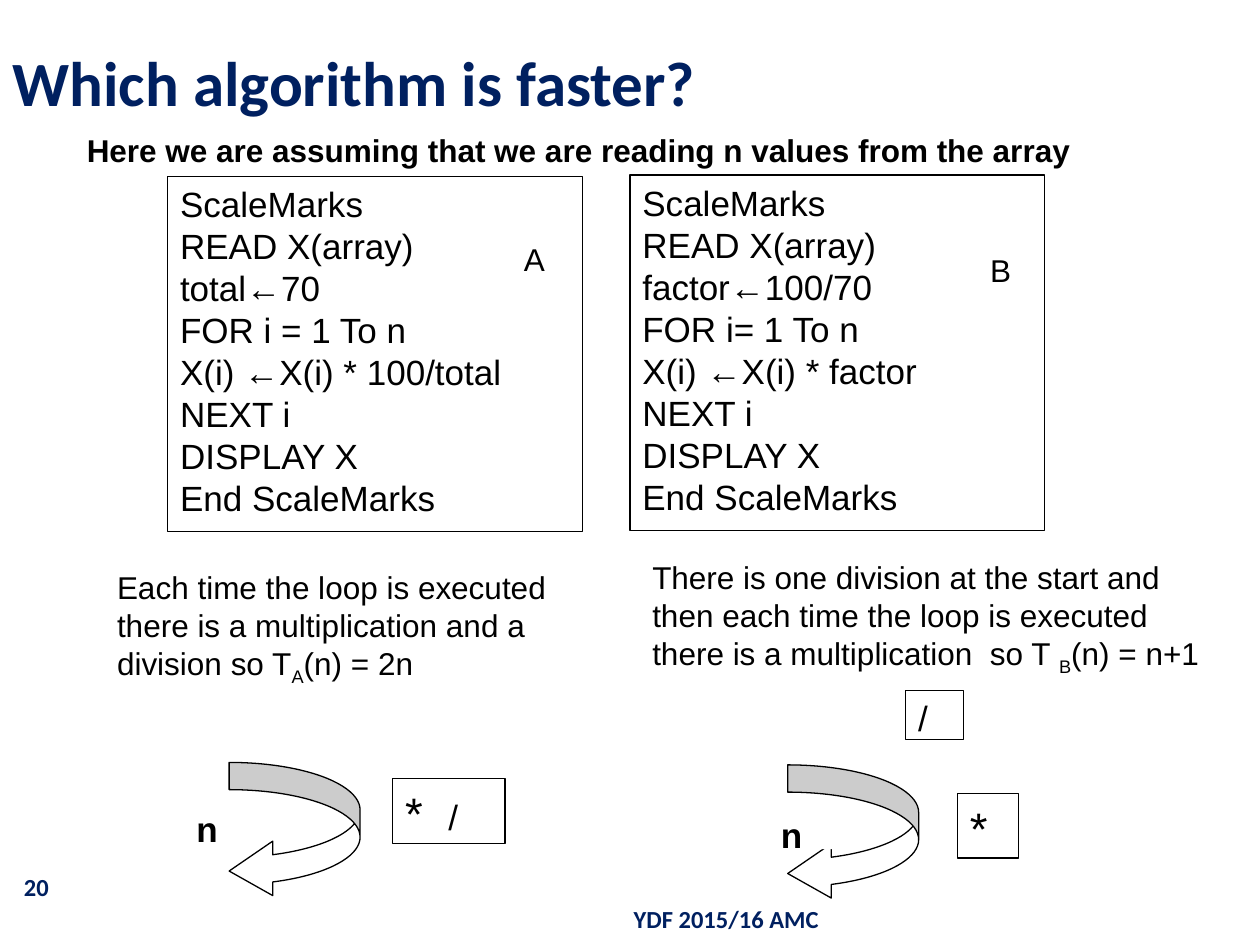
"""Build a slide that compares the running time of two mark-scaling algorithms."""
import dataclasses
import typing

import pptx
import pptx.dml.color
import pptx.enum.shapes
import pptx.enum.text
import pptx.util

Cm = pptx.util.Cm
Pt = pptx.util.Pt
RGB = pptx.dml.color.RGBColor
Align = pptx.enum.text.PP_ALIGN
Anchor = pptx.enum.text.MSO_ANCHOR
Preset = pptx.enum.shapes.MSO_SHAPE


@dataclasses.dataclass(frozen=True)
class Theme:
    navy: RGB = RGB(0x00, 0x20, 0x60)
    black: RGB = RGB(0, 0, 0)
    white: RGB = RGB(255, 255, 255)
    heading_font: str = "Calibri"
    body_font: str = "Arial"
    title: int = 36
    star: int = 26
    code: int = 20
    body: int = 18
    small: int = 14
    outline: float = 0.75


THEME = Theme()


class Span(typing.NamedTuple):
    text: str
    size: float = THEME.body
    bold: bool = False
    subscript: bool = False
    font: str = THEME.body_font
    color: RGB = THEME.black


class Area(typing.NamedTuple):
    left: float
    top: float
    width: float
    height: float

    def lengths(self) -> list[pptx.util.Length]:
        return [Cm(value) for value in self]


@dataclasses.dataclass(frozen=True)
class Algorithm:
    code_area: Area
    code: tuple[str, ...]
    label: Span
    label_area: Area
    note: tuple[Span, ...]
    note_area: Area
    arrow_area: Area
    count_area: Area
    operations: tuple[Span, ...]
    operations_area: Area


def write(frame, paragraphs: list[list[Span]], align: Align = Align.LEFT,
          anchor: Anchor = Anchor.TOP) -> None:
    frame.word_wrap = True
    frame.auto_size = pptx.enum.text.MSO_AUTO_SIZE.NONE
    frame.vertical_anchor = anchor
    frame.text = "\n".join("" for _ in paragraphs)
    for para, spans in zip(frame.paragraphs, paragraphs):
        para.alignment = align
        for span in spans:
            run = para.add_run()
            run.text = span.text
            run.font.name = span.font
            run.font.size = Pt(span.size)
            run.font.bold = span.bold
            run.font.color.rgb = span.color
            if span.subscript:
                run._r.get_or_add_rPr().set("baseline", "-25000")


def add_text(page, area: Area, spans: typing.Sequence[Span],
             align: Align = Align.LEFT, anchor: Anchor = Anchor.TOP) -> None:
    box = page.shapes.add_textbox(*area.lengths())
    write(box.text_frame, [list(spans)], align, anchor)


def add_panel(page, area: Area, paragraphs: list[list[Span]], outlined: bool = True,
              preset: Preset = Preset.RECTANGLE):
    panel = page.shapes.add_shape(preset, *area.lengths())
    panel.shadow.inherit = False
    panel.fill.solid()
    panel.fill.fore_color.rgb = THEME.white
    if outlined:
        panel.line.color.rgb = THEME.black
        panel.line.width = Pt(THEME.outline)
    else:
        panel.line.fill.background()
    if paragraphs:
        write(panel.text_frame, paragraphs)
    return panel


def add_algorithm(page, algorithm: Algorithm) -> None:
    code = [[Span(line, THEME.code)] for line in algorithm.code]
    add_panel(page, algorithm.code_area, code)
    add_text(page, algorithm.label_area, [algorithm.label])
    add_text(page, algorithm.note_area, algorithm.note)
    arrow = add_panel(page, algorithm.arrow_area, [], preset=Preset.CURVED_LEFT_ARROW)
    for index, value in enumerate((0.208, 0.416, 0.333)):
        arrow.adjustments[index] = value
    add_panel(page, algorithm.operations_area, [list(algorithm.operations)])
    add_panel(page, algorithm.count_area, [[Span("n", THEME.code, bold=True)]], outlined=False)


def navy(text: str, size: float) -> Span:
    return Span(text, size, bold=True, font=THEME.heading_font, color=THEME.navy)


STAR = Span("*", THEME.star)
SLASH = Span("/", THEME.code)
ALGORITHMS = (
    Algorithm(
        Area(3.38, 3.56, 8.36, 7.16),
        ("ScaleMarks", "READ X(array)", "total←70", "FOR i = 1 To n",
         "X(i) ←X(i) * 100/total", "NEXT i", "DISPLAY X", "End ScaleMarks"),
        Span("A"), Area(10.31, 4.72, 0.99, 1.02),
        (Span("Each time the loop is executed there is a multiplication and a division so T"),
         Span("A", subscript=True), Span("(n) = 2n")),
        Area(2.11, 11.33, 9.6, 2.54),
        Area(4.62, 15.37, 2.64, 2.74), Area(3.71, 16.15, 1.3, 0.84),
        (Span("*  ", THEME.star), SLASH), Area(7.92, 15.7, 2.26, 1.3)),
    Algorithm(
        Area(12.7, 3.53, 8.36, 7.16),
        ("ScaleMarks", "READ X(array)", "factor←100/70", "FOR i= 1 To n",
         "X(i) ←X(i) * factor", "NEXT i", "DISPLAY X", "End ScaleMarks"),
        Span("B"), Area(19.71, 4.93, 0.99, 1.02),
        (Span("There is one division at the start and then each time the loop is executed "
              "there is a multiplication  so T "),
         Span("B", subscript=True), Span("(n) = n+1")),
        Area(12.9, 11.13, 12.01, 2.54),
        Area(15.88, 15.42, 2.64, 2.74), Area(15.49, 16.28, 1.3, 0.84),
        (STAR,), Area(19.3, 16, 1.24, 1.3)),
)


def build() -> None:
    deck = pptx.Presentation()
    deck.slide_width, deck.slide_height = Cm(25.4), Cm(19.05)
    page = deck.slides.add_slide(deck.slide_layouts[5])
    title = page.shapes.title
    title.left, title.top, title.width, title.height = Area(0, 0.76, 22.86, 1.75).lengths()
    write(title.text_frame, [[navy("Which algorithm is faster?", THEME.title)]],
          anchor=Anchor.MIDDLE)
    add_text(page, Area(1.7, 18.01, 15.06, 1.02), [navy("YDF 2015/16 AMC", THEME.small)],
             Align.RIGHT, Anchor.MIDDLE)
    add_text(page, Area(0, 17.35, 1.47, 1.07), [navy("20", THEME.small)],
             Align.CENTER, Anchor.MIDDLE)
    add_text(page, Area(1.5, 2.51, 21.01, 1.02),
             [Span("Here we are assuming that we are reading n values from the array", bold=True)])
    for algorithm in ALGORITHMS:
        add_algorithm(page, algorithm)
    add_panel(page, Area(18.26, 13.92, 1.17, 0.99), [[SLASH]])
    deck.save("out.pptx")


build()
